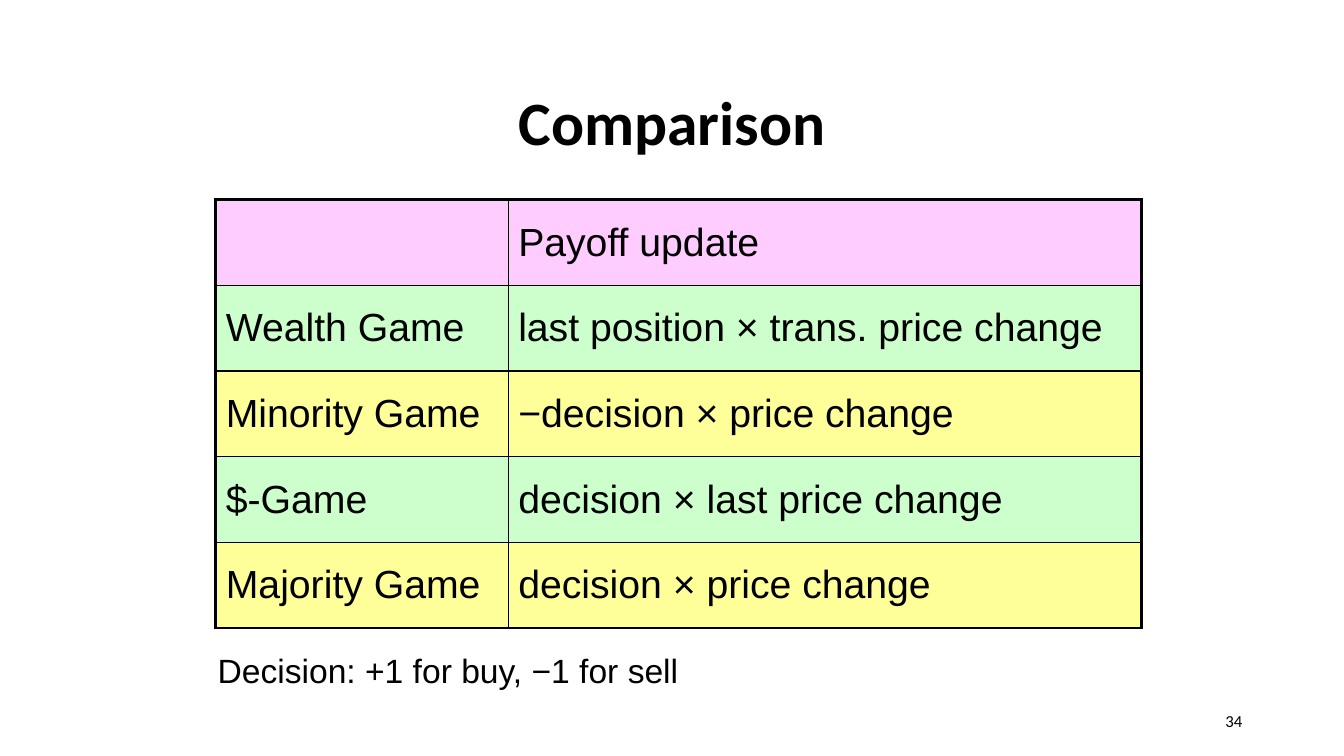
from dataclasses import dataclass

from lxml.etree import fromstring
from pptx import Presentation
from pptx.dml.color import RGBColor
from pptx.enum.text import MSO_ANCHOR, PP_ALIGN
from pptx.util import Inches, Pt

# Content
TITLE = "Comparison"
ROWS = [
    ("", "Payoff update"),
    ("Wealth Game", "last position × trans. price change"),
    ("Minority Game", "−decision × price change"),
    ("$-Game", "decision × last price change"),
    ("Majority Game", "decision × price change"),
]
NOTE = "Decision: +1 for buy, −1 for sell"
PAGE = "34"


@dataclass(frozen=True)
class Theme:
    ink: str = "000000"
    header: str = "FFCCFF"
    bands: tuple = ("FFFF99", "CCFFCC")
    heading_font: str = "Calibri"
    body_font: str = "Arial"
    title_size: int = 44
    cell_size: int = 28
    note_size: int = 24
    page_size: int = 12
    inner_line: float = 1
    outer_line: float = 2.25


THEME = Theme()
COL_WIDTHS = (2.9, 6.28)
ROW_HEIGHT = 0.85
DRAWING_NS = "http://schemas.openxmlformats.org/drawingml/2006/main"


def write(tf, text, anchor, align=PP_ALIGN.LEFT, **font):
    tf.word_wrap = True
    tf.vertical_anchor = anchor
    p = tf.paragraphs[0]
    p.alignment = align
    r = p.add_run()
    r.text = text
    for name, value in font.items():
        setattr(r.font, name, value)
    r.font.color.rgb = RGBColor.from_string(THEME.ink)
    return p


def add_text(s, box, text, anchor, align, **font):
    sp = s.shapes.add_textbox(*map(Inches, box))
    write(sp.text_frame, text, anchor, align, **font)


def set_borders(cell, outer):
    """Draw all four sides, heavier on the sides named in outer."""
    tcPr = cell._tc.get_or_add_tcPr()
    for i, side in enumerate("LRTB"):
        width = Pt(THEME.outer_line if side in outer else THEME.inner_line)
        tcPr.insert(i, fromstring(
            f'<a:ln{side} xmlns:a="{DRAWING_NS}" w="{width}"><a:solidFill>'
            f'<a:srgbClr val="{THEME.ink}"/></a:solidFill></a:ln{side}>'))


def add_comparison(s):
    n_rows, n_cols = len(ROWS), len(COL_WIDTHS)
    table = s.shapes.add_table(
        n_rows, n_cols, Inches(2.14), Inches(1.98),
        Inches(sum(COL_WIDTHS)), Inches(ROW_HEIGHT * n_rows)).table
    for col, width in zip(table.columns, COL_WIDTHS):
        col.width = Inches(width)
    for i, row in enumerate(ROWS):
        table.rows[i].height = Inches(ROW_HEIGHT)
        for j, text in enumerate(row):
            cell = table.cell(i, j)
            fill = THEME.bands[i % 2] if i else THEME.header
            cell.fill.solid()
            cell.fill.fore_color.rgb = RGBColor.from_string(fill)
            edges = {"L": j == 0, "R": j == n_cols - 1,
                     "T": i == 0, "B": i == n_rows - 1}
            set_borders(cell, [side for side, on in edges.items() if on])
            cell.vertical_anchor = MSO_ANCHOR.MIDDLE
            if text:
                write(cell.text_frame, text, MSO_ANCHOR.MIDDLE,
                      name=THEME.body_font, size=Pt(THEME.cell_size), bold=False)


def main():
    prs = Presentation()
    prs.slide_width, prs.slide_height = Inches(13.33), Inches(7.5)
    s = prs.slides.add_slide(prs.slide_layouts[5])

    # Title
    title = s.shapes.title
    place = dict(left=0.67, top=0.5, width=12, height=1.5)
    for name, value in place.items():
        setattr(title, name, Inches(value))
    p = write(title.text_frame, TITLE, MSO_ANCHOR.MIDDLE, PP_ALIGN.CENTER,
              name=THEME.heading_font, size=Pt(THEME.title_size), bold=True)
    p.line_spacing = 0.9

    # Table
    add_comparison(s)

    # Note and page number
    add_text(s, (2.06, 6.4, 6.42, 0.5), NOTE, MSO_ANCHOR.TOP, PP_ALIGN.LEFT,
             name=THEME.body_font, size=Pt(THEME.note_size))
    add_text(s, (9.42, 6.95, 3, 0.4), PAGE, MSO_ANCHOR.MIDDLE, PP_ALIGN.RIGHT,
             name=THEME.heading_font, size=Pt(THEME.page_size))

    prs.save("out.pptx")


if __name__ == "__main__":
    main()
